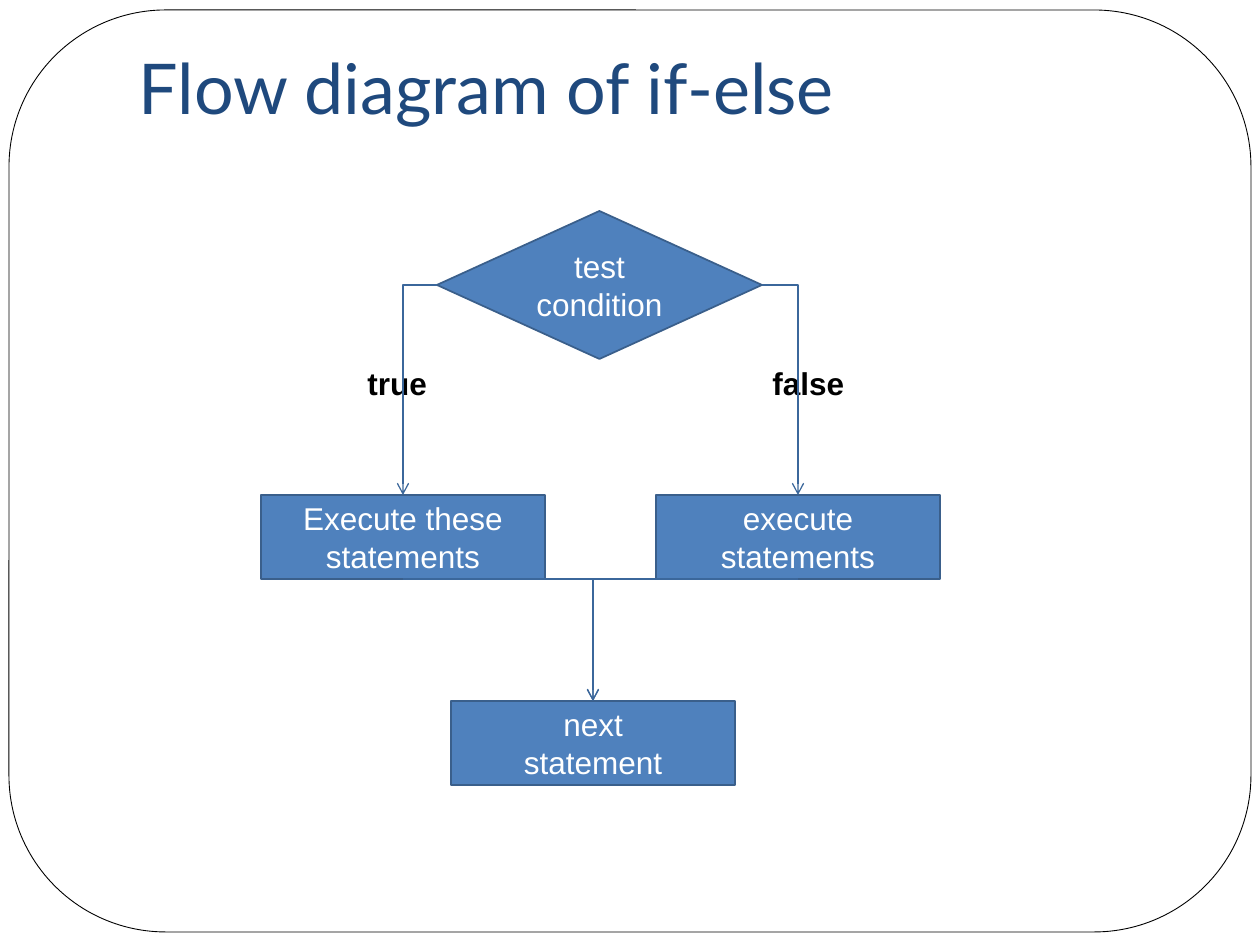
"""Build a slide with the flow diagram of an if-else statement."""
from dataclasses import dataclass

from lxml import etree
from pptx import Presentation
from pptx.dml.color import RGBColor
from pptx.enum.shapes import MSO_CONNECTOR, MSO_SHAPE
from pptx.enum.text import MSO_ANCHOR, PP_ALIGN
from pptx.oxml.ns import qn
from pptx.util import Pt

ELBOW = MSO_CONNECTOR.ELBOW
ROUNDED = MSO_SHAPE.ROUNDED_RECTANGLE
DECISION = MSO_SHAPE.FLOWCHART_DECISION
PROCESS = MSO_SHAPE.FLOWCHART_PROCESS
TOP, MIDDLE = MSO_ANCHOR.TOP, MSO_ANCHOR.MIDDLE
LEFT, CENTER = PP_ALIGN.LEFT, PP_ALIGN.CENTER
EMU_PER_PX = 914400 / 126


@dataclass(frozen=True)
class Theme:
    paper: RGBColor = RGBColor.from_string("FFFFFF")
    ink: RGBColor = RGBColor.from_string("000000")
    heading: RGBColor = RGBColor.from_string("1F497D")
    node: RGBColor = RGBColor.from_string("4F81BD")
    outline: RGBColor = RGBColor.from_string("3A5F8B")
    arrow: RGBColor = RGBColor.from_string("3B679B")
    heading_font: str = "Lato"
    body_font: str = "Arial"
    heading_size: int = 40
    body_size: int = 18


theme = Theme()


def px(*lengths):
    return [round(length * EMU_PER_PX) for length in lengths]


def write(shape, text, font_name, size, color, align, anchor, bold=False):
    frame = shape.text_frame
    frame.text = text
    frame.vertical_anchor = anchor
    for paragraph in frame.paragraphs:
        paragraph.alignment = align
        for run in paragraph.runs:
            run.font.name = font_name
            run.font.size = Pt(size)
            run.font.bold = bold
            run.font.color.rgb = color


deck = Presentation()
deck.slide_width, deck.slide_height = px(1260, 945)
slide = deck.slides.add_slide(deck.slide_layouts[5])
shapes = slide.shapes

title = shapes.title
title.left, title.top, title.width, title.height = px(126, 38, 1071, 110)
write(title, "Flow diagram of if-else", theme.heading_font,
      theme.heading_size, theme.heading, LEFT, TOP)

border = shapes.add_shape(ROUNDED, *px(9, 10, 1242, 922))
border.adjustments[0] = 0.17
border.shadow.inherit = False
border.fill.solid()
border.fill.fore_color.rgb = theme.paper
border.line.color.rgb = theme.ink
border.line.width = Pt(0.5)
title._element.addprevious(border._element)

process_width, process_height = 284, 84
branch_top, next_top = 495, 701
steps = [
    (DECISION, 437, 211, 325, 148, "test condition"),
    (PROCESS, 261, branch_top, process_width, process_height,
     "Execute these\nstatements"),
    (PROCESS, 451, next_top, process_width, process_height, "next\nstatement"),
    (PROCESS, 656, branch_top, process_width, process_height,
     "execute\nstatements"),
]
for kind, left, top, width, height, text in steps:
    step = shapes.add_shape(kind, *px(left, top, width, height))
    step.shadow.inherit = False
    step.fill.solid()
    step.fill.fore_color.rgb = theme.node
    step.line.color.rgb = theme.outline
    step.line.width = Pt(1)
    write(step, text, theme.body_font, theme.body_size, theme.paper,
          CENTER, MIDDLE)

for answer, left, width in [("true", 355, 92), ("false", 760, 102)]:
    label = shapes.add_textbox(*px(left, 358, width, 88))
    label.text_frame.word_wrap = True
    write(label, answer, theme.body_font, theme.body_size, theme.ink,
          LEFT, TOP, bold=True)

decision_middle = 285
branch_bottom = branch_top + process_height
true_center, false_center, next_center = 403, 798, 593
flows = [
    (437, decision_middle, true_center, branch_top),
    (762, decision_middle, false_center, branch_top),
    (true_center, branch_bottom, next_center, next_top),
    (false_center, branch_bottom, next_center, next_top),
]
for ends in flows:
    flow = shapes.add_connector(ELBOW, *px(*ends))
    flow.line.color.rgb = theme.arrow
    flow.line.width = Pt(0.75)
    properties = flow._element.spPr
    properties.find(qn("a:prstGeom")).set("prst", "bentConnector2")
    etree.SubElement(properties.find(qn("a:ln")), qn("a:tailEnd"), type="arrow")
    etree.SubElement(properties, qn("a:effectLst"))

deck.save("out.pptx")
